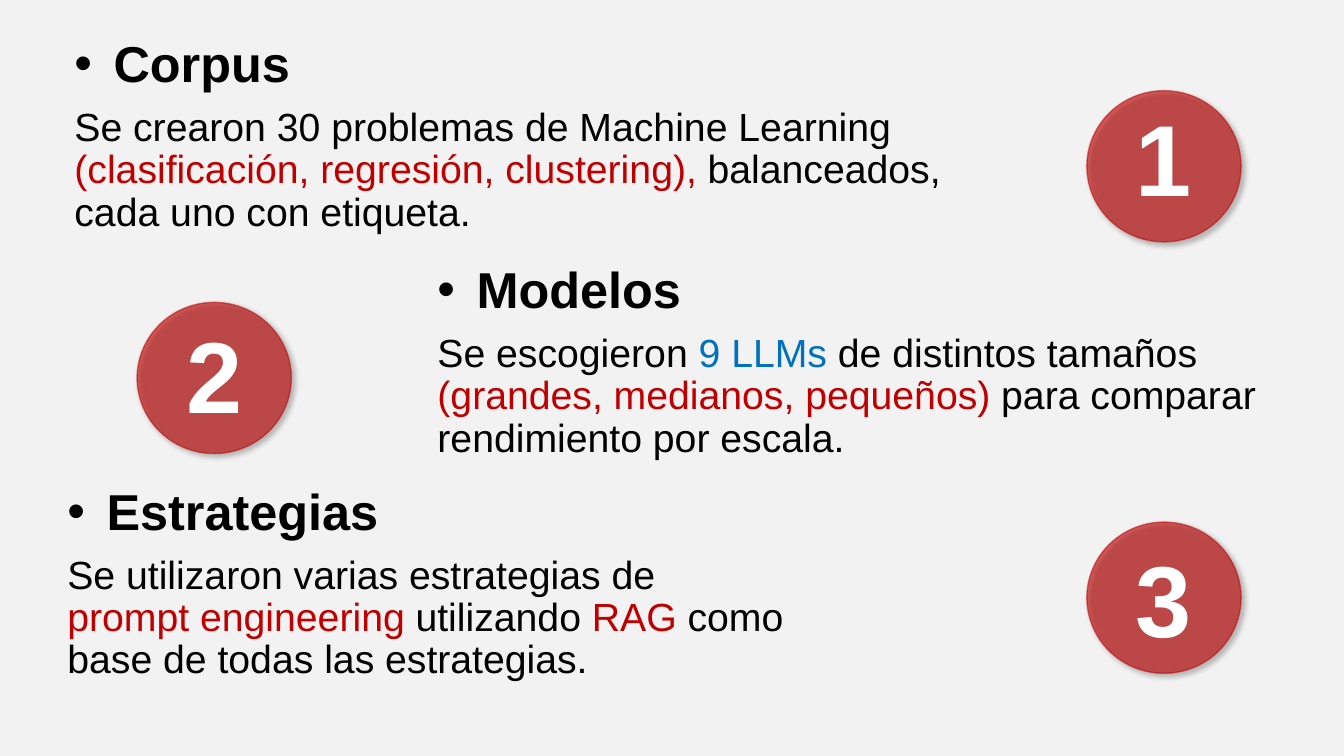
from lxml import etree
from pptx import Presentation
from pptx.dml.color import RGBColor
from pptx.enum.shapes import MSO_SHAPE
from pptx.enum.text import MSO_AUTO_SIZE, PP_ALIGN
from pptx.oxml.ns import qn
from pptx.util import Inches, Pt

OVAL = MSO_SHAPE.OVAL
CENTER = PP_ALIGN.CENTER
GROW = MSO_AUTO_SIZE.SHAPE_TO_FIT_TEXT

BACKGROUND = RGBColor(0xF2, 0xF2, 0xF2)
BLACK = RGBColor(0x00, 0x00, 0x00)
WHITE = RGBColor(0xFF, 0xFF, 0xFF)
RED = RGBColor(0xC0, 0x00, 0x00)
BLUE = RGBColor(0x00, 0x70, 0xC0)

BULLET_INDENT = Inches(0.25)
CIRCLE_WIDTH, CIRCLE_HEIGHT = 1.53, 1.5
NUMBER_WIDTH, NUMBER_HEIGHT = 0.76, 1.3
LEFT_CIRCLE, RIGHT_CIRCLE = 1.36, 10.78

# Heading, text box (left, top, width, height), coloured spans
sections = [
    ("Corpus", (0.64, 0.34, 9.3, 2.71), [
        ("Se crearon 30 problemas de Machine Learning ", BLACK),
        ("(clasificación, regresión, clustering),", RED),
        (" balanceados, cada uno con etiqueta.", BLACK),
    ]),
    ("Modelos", (4.24, 2.58, 8.45, 2.6), [
        ("Se escogieron ", BLACK),
        ("9 LLMs", BLUE),
        (" de distintos tamaños ", BLACK),
        ("(grandes, medianos, pequeños)", RED),
        (" para comparar rendimiento por escala.", BLACK),
    ]),
    ("Estrategias", (0.57, 4.78, 7.33, 2.69), [
        ("Se utilizaron varias estrategias de ", BLACK),
        ("prompt engineering ", RED),
        ("utilizando ", BLACK),
        ("RAG ", RED),
        ("como base de todas las estrategias.", BLACK),
    ]),
]

# Circle left, circle top, number top
badges = [(RIGHT_CIRCLE, 0.9, 0.9), (LEFT_CIRCLE, 3, 3.05), (RIGHT_CIRCLE, 5.18, 5.28)]


def add_span(para, text, size, color, bold=False):
    span = para.add_run()
    span.text = text
    span.font.name = "Arial"
    span.font.size = Pt(size)
    span.font.bold = bold
    span.font.color.rgb = color


def set_alpha(parent, percent):
    """Make every colour found under an XML element partly transparent."""
    for color in parent.iter(qn("a:srgbClr")):
        etree.SubElement(color, qn("a:alpha"), val=str(percent * 1000))


deck = Presentation()
deck.slide_width, deck.slide_height = Inches(13.33), Inches(7.5)
page = deck.slides.add_slide(deck.slide_layouts[6])
page.background.fill.solid()
page.background.fill.fore_color.rgb = BACKGROUND

for heading, place, spans in sections:
    box = page.shapes.add_textbox(*map(Inches, place))
    frame = box.text_frame
    frame.word_wrap = True
    title, body = frame.paragraphs[0], frame.add_paragraph()
    for para in (title, body):
        para.line_spacing = 0.9
        para.space_before = Pt(10)

    add_span(title, " " + heading, 36, BLACK, bold=True)
    properties = title._p.get_or_add_pPr()
    properties.set("marL", str(BULLET_INDENT))
    properties.set("indent", str(-BULLET_INDENT))
    etree.SubElement(properties, qn("a:buFont"), typeface="Arial")
    etree.SubElement(properties, qn("a:buChar"), char="•")

    for text, color in spans:
        add_span(body, text, 28, color)

for number, (left, top, number_top) in enumerate(badges, start=1):
    circle = page.shapes.add_shape(
        OVAL, Inches(left), Inches(top), Inches(CIRCLE_WIDTH), Inches(CIRCLE_HEIGHT))
    circle.fill.solid()
    circle.fill.fore_color.rgb = RED
    circle.line.color.rgb = RED
    circle.line.width = Pt(1)
    circle.shadow.inherit = False
    outline = circle._element.spPr
    set_alpha(outline.find(qn("a:solidFill")), 61)
    set_alpha(outline.find(qn("a:ln")), 53)
    shadow = etree.SubElement(
        outline.find(qn("a:effectLst")), qn("a:outerShdw"),
        blurRad=str(Pt(4)), dist=str(Pt(3)), dir=str(45 * 60000), algn="tl", rotWithShape="0")
    etree.SubElement(shadow, qn("a:srgbClr"), val=str(BLACK))
    set_alpha(shadow, 40)

    number_left = left + (CIRCLE_WIDTH - NUMBER_WIDTH) / 2
    box = page.shapes.add_textbox(
        Inches(number_left), Inches(number_top), Inches(NUMBER_WIDTH), Inches(NUMBER_HEIGHT))
    box.text_frame.word_wrap = False
    box.text_frame.auto_size = GROW
    para = box.text_frame.paragraphs[0]
    para.alignment = CENTER
    add_span(para, str(number), 72, WHITE, bold=True)

deck.save("out.pptx")
